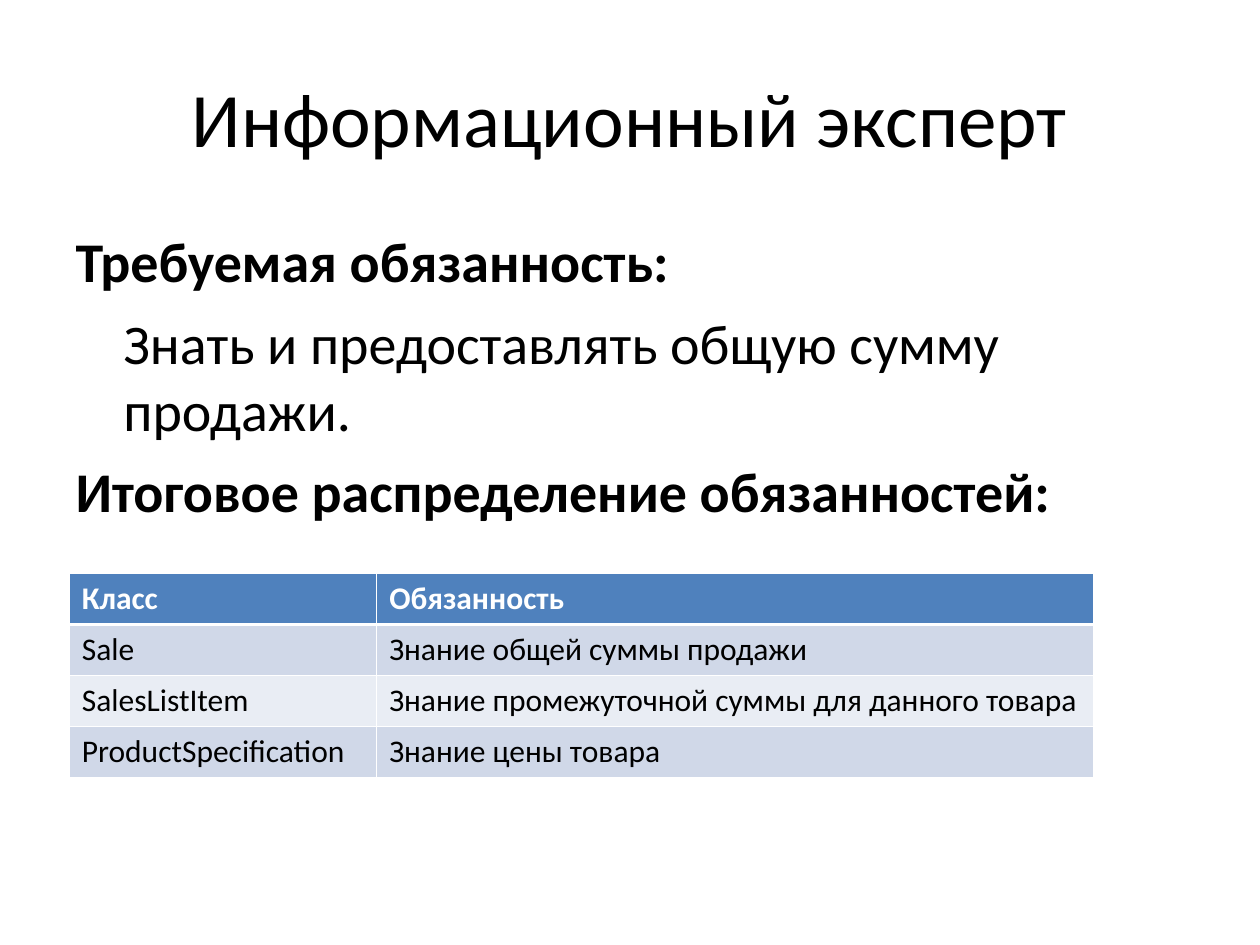
from dataclasses import dataclass

from lxml.etree import SubElement
from pptx import Presentation
from pptx.dml.color import RGBColor as RGB
from pptx.enum.text import MSO_ANCHOR as Anchor, MSO_AUTO_SIZE as AutoSize, PP_ALIGN as Align
from pptx.oxml.ns import qn
from pptx.util import Inches, Pt


@dataclass(frozen=True)
class Theme:
    font: str = "Calibri"
    title_size: int = 44
    body_size: int = 32
    table_size: int = 18
    text: str = "000000"
    white: str = "FFFFFF"
    header: str = "4F81BD"
    bands: tuple = ("D0D8E8", "E9EDF4")
    thin: float = 0.45
    thick: float = 1.47


THEME = Theme()

TITLE = "Информационный эксперт"
BODY = [
    ("Требуемая обязанность:", True),
    ("Знать и предоставлять общую сумму продажи.", False),
    ("Итоговое распределение обязанностей:", True),
]
ROWS = [
    ("Класс", "Обязанность"),
    ("Sale", "Знание общей суммы продажи"),
    ("SalesListItem", "Знание промежуточной суммы для данного товара"),
    ("ProductSpecification", "Знание цены товара"),
]
COL_WIDTHS = (2.44, 5.69)
ROW_HEIGHT = 0.405


def write(p, text, size, color=THEME.text, bold=False):
    r = p.add_run()
    r.text = text
    r.font.name = THEME.font
    r.font.size = Pt(size)
    r.font.bold = bold
    r.font.color.rgb = RGB.from_string(color)


def place(sp, left, top, width, height):
    sp.left, sp.top = Inches(left), Inches(top)
    sp.width, sp.height = Inches(width), Inches(height)


def fill_title(sp):
    place(sp, 0.5, 0.3, 9, 1.25)
    tf = sp.text_frame
    tf.auto_size = AutoSize.NONE
    tf.vertical_anchor = Anchor.MIDDLE
    p = tf.paragraphs[0]
    p.alignment = Align.CENTER
    write(p, TITLE, THEME.title_size)


def set_indent(p, left, first):
    """Set the left margin and first-line indent, without a bullet."""
    pPr = p._p.get_or_add_pPr()
    pPr.set("marL", str(Inches(left)))
    pPr.set("indent", str(Inches(first)))
    SubElement(pPr, qn("a:buNone"))


def fill_body(sp):
    place(sp, 0.5, 1.75, 9, 4.95)
    tf = sp.text_frame
    tf.auto_size = AutoSize.NONE
    for i, (text, is_heading) in enumerate(BODY):
        p = tf.add_paragraph() if i else tf.paragraphs[0]
        p.space_before = Pt(8)
        set_indent(p, 0.38, -0.38 if is_heading else 0)
        write(p, text, THEME.body_size, bold=is_heading)


def set_borders(cell, **widths):
    """Draw white borders; keywords L, R, T, B give widths in points."""
    tcPr = cell._tc.get_or_add_tcPr()
    for side in "LRTB":
        ln = SubElement(tcPr, qn(f"a:ln{side}"), w=str(Pt(widths.get(side, THEME.thin))))
        fill = SubElement(ln, qn("a:solidFill"))
        SubElement(fill, qn("a:srgbClr"), val=THEME.white)


def fill_cell(cell, text, row):
    is_header = row == 0
    edges = {0: {"B": THEME.thick}, 1: {"T": THEME.thick}}.get(row, {})
    set_borders(cell, **edges)
    color = THEME.header if is_header else THEME.bands[(row - 1) % 2]
    cell.fill.solid()
    cell.fill.fore_color.rgb = RGB.from_string(color)
    write(cell.text_frame.paragraphs[0], text, THEME.table_size,
          THEME.white if is_header else THEME.text, is_header)


def add_duties_table(s):
    table = s.shapes.add_table(
        len(ROWS), len(COL_WIDTHS), Inches(0.55), Inches(4.55),
        Inches(sum(COL_WIDTHS)), Inches(ROW_HEIGHT * len(ROWS))).table
    for col, width in zip(table.columns, COL_WIDTHS):
        col.width = Inches(width)
    for i, texts in enumerate(ROWS):
        for j, text in enumerate(texts):
            fill_cell(table.cell(i, j), text, i)


def main():
    prs = Presentation()
    prs.slide_width, prs.slide_height = Inches(10), Inches(7.5)
    s = prs.slides.add_slide(prs.slide_layouts[1])
    fill_title(s.shapes.title)
    fill_body(s.placeholders[1])
    add_duties_table(s)
    prs.save("out.pptx")


if __name__ == "__main__":
    main()
